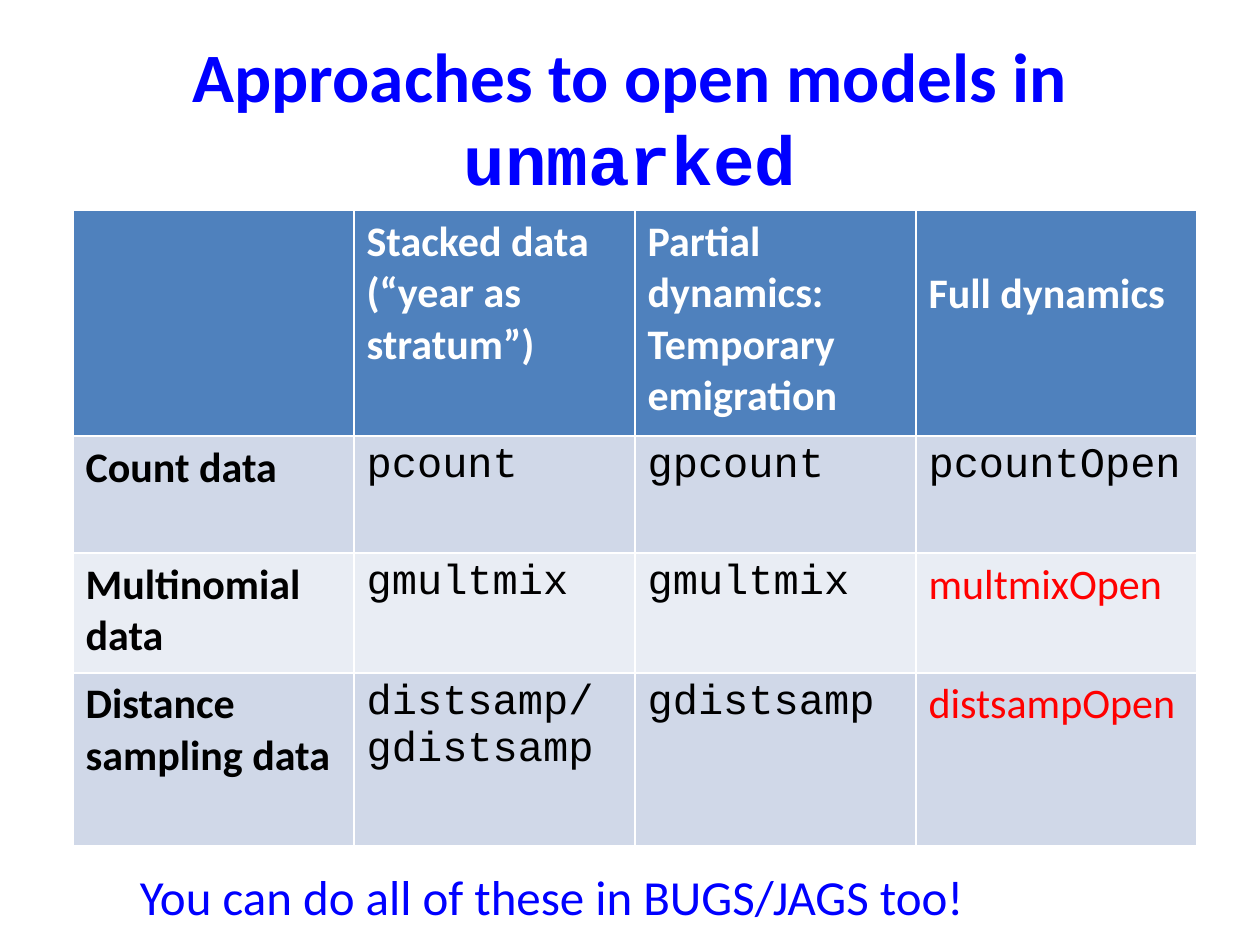
from pptx import Presentation
from pptx.dml.color import RGBColor
from pptx.enum.text import MSO_ANCHOR, PP_ALIGN
from pptx.util import Inches, Pt

COLORS = {"blue": "0000FF", "red": "FF0000", "black": "000000", "white": "FFFFFF",
          "header": "4F81BD", "band": "D0D8E8", "light": "E9EDF4"}
SANS, MONO = "Calibri", "Courier New"


def style(run, size, color, font=SANS, bold=False):
    run.font.size = Pt(size)
    run.font.name = font
    run.font.bold = bold
    run.font.color.rgb = RGBColor.from_string(COLORS[color])


prs = Presentation()
prs.slide_width, prs.slide_height = Inches(10), Inches(7.5)
s = prs.slides.add_slide(prs.slide_layouts[6])

# Title
tf = s.shapes.add_textbox(Inches(0.5), Inches(0.3), Inches(9), Inches(1.25)).text_frame
tf.word_wrap = True
tf.vertical_anchor = MSO_ANCHOR.MIDDLE
p = tf.paragraphs[0]
p.alignment = PP_ALIGN.CENTER
for text, font in [("Approaches to open models in ", SANS), ("unmarked", MONO)]:
    r = p.add_run()
    r.text = text
    style(r, 39.6, "blue", font, bold=True)

# Table of fitting functions by data type and kind of dynamics
rows = [
    ["", "Stacked data\n(“year as stratum”)",
     "Partial dynamics: Temporary emigration", "Full dynamics"],
    ["Count data", "pcount", "gpcount", "pcountOpen"],
    ["Multinomial data", "gmultmix", "gmultmix", "multmixOpen"],
    ["Distance sampling data", "distsamp/\ngdistsamp", "gdistsamp", "distsampOpen"],
]
row_heights = [1.79, 0.93, 0.95, 1.37]
row_fills = ["header", "band", "light", "band"]
planned = {"multmixOpen", "distsampOpen"}

table = s.shapes.add_table(len(rows), 4, Inches(0.58), Inches(1.67),
                           Inches(8.92), Inches(sum(row_heights))).table
for i, row in enumerate(rows):
    table.rows[i].height = Inches(row_heights[i])
    for j, text in enumerate(row):
        cell = table.cell(i, j)
        cell.fill.solid()
        cell.fill.fore_color.rgb = RGBColor.from_string(COLORS[row_fills[i]])
        cell.text_frame.text = text
        if i == 0:
            look = ("white", SANS, True)
        elif j == 0:
            look = ("black", SANS, True)
        elif text in planned:
            look = ("red", SANS, False)
        else:
            look = ("black", MONO, False)
        for p in cell.text_frame.paragraphs:
            for r in p.runs:
                style(r, 24, *look)
table.cell(0, 3).margin_top = Inches(0.46)  # one line lower than its neighbours

# Closing remark
tf = s.shapes.add_textbox(Inches(0.92), Inches(6.83), Inches(7.17), Inches(0.57)).text_frame
tf.word_wrap = True
tf.margin_left = Inches(0.19)
tf.text = "You can do all of these in BUGS/JAGS too!"
style(tf.paragraphs[0].runs[0], 28, "blue")

prs.save("out.pptx")
